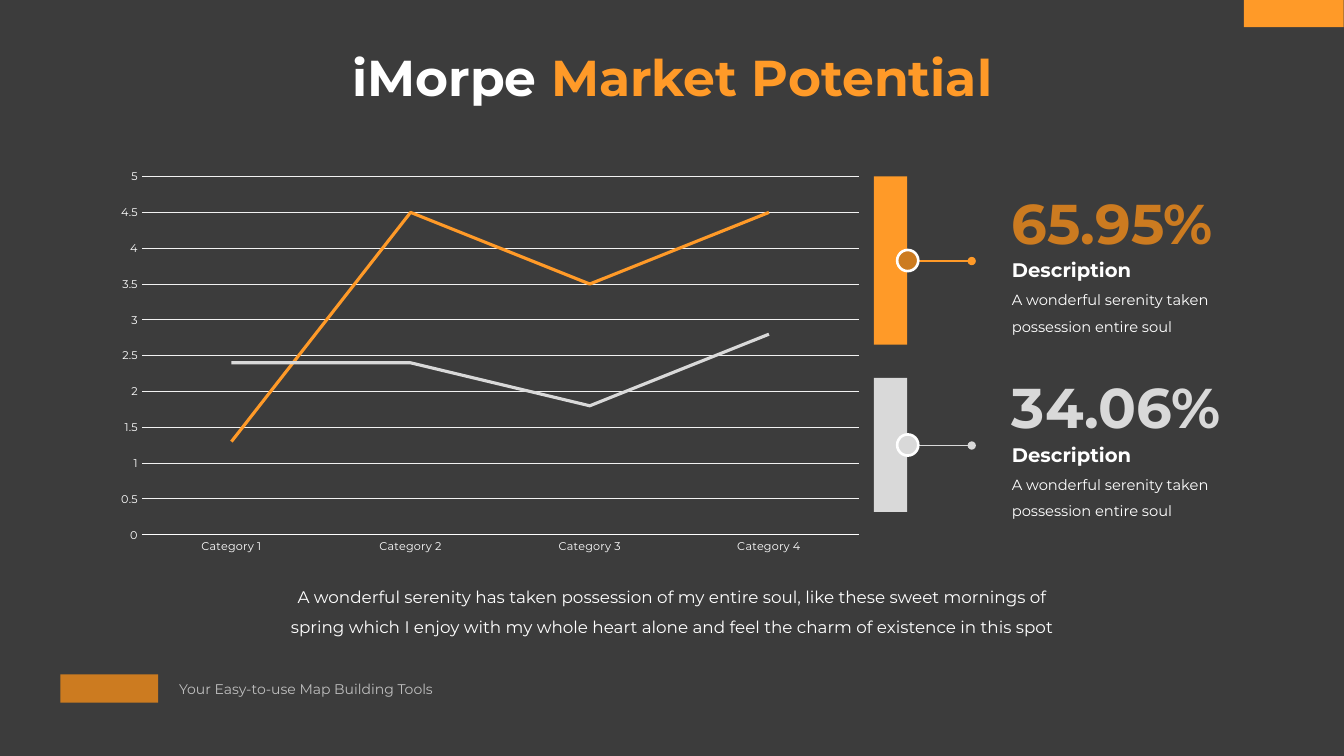
from lxml import etree
from pptx import Presentation
from pptx import util as u
from pptx.chart import data
from pptx.dml.color import RGBColor
from pptx.enum import chart as ch, shapes, text
from pptx.oxml.ns import qn

PX = 9144  # 100 px to the inch
FONT = "Montserrat"
ORANGE, DARK_ORANGE, GREY, WHITE = "FF9A28", "CC7B20", "D9D9D9", "FFFFFF"
rgb = RGBColor.from_string


def add_text(x, y, w, h, spans, size, bold=False, spacing=None, centred=False, middle=False):
    box = page.shapes.add_textbox(x * PX, y * PX, w * PX, h * PX)
    frame = box.text_frame
    frame.word_wrap = True
    if middle:
        frame.vertical_anchor = text.MSO_ANCHOR.MIDDLE
    para = frame.paragraphs[0]
    para.line_spacing = spacing
    para.alignment = text.PP_ALIGN.CENTER if centred else text.PP_ALIGN.LEFT
    for words, color in spans:
        span = para.add_run()
        span.text = words
        span.font.name = FONT
        span.font.size = u.Pt(size)
        span.font.bold = bold
        span.font.color.rgb = rgb(color)


def add_block(kind, x, y, w, h, fill, outline=None):
    block = page.shapes.add_shape(kind, x * PX, y * PX, w * PX, h * PX)
    block.shadow.inherit = False
    block.fill.solid()
    block.fill.fore_color.rgb = rgb(fill)
    if outline:
        block.line.color.rgb = rgb(outline)
        block.line.width = u.Pt(1.88)
    else:
        block.line.fill.background()


deck = Presentation()
deck.slide_width, deck.slide_height = u.Inches(13.333), u.Inches(7.5)
page = deck.slides.add_slide(deck.slide_layouts[6])
page.background.fill.solid()
page.background.fill.fore_color.rgb = rgb("3C3C3C")
RECT, OVAL = shapes.MSO_SHAPE.RECTANGLE, shapes.MSO_SHAPE.OVAL

# Footer with a plain brand marker, and the corner tab
add_block(RECT, 60, 669, 97, 28, DARK_ORANGE)
add_text(168, 670, 344, 27, [("Your Easy-to-use Map Building Tools", "BFBFBF")], 10)
add_block(RECT, 1234, 0, 99, 27, ORANGE)

# Title and summary
add_text(92, 44, 1150, 71, [("iMorpe ", WHITE), ("Market Potential", ORANGE)], 36,
         bold=True, spacing=0.9, centred=True, middle=True)
add_text(257, 567, 820, 67,
         [("A wonderful serenity has taken possession of my entire soul, like these sweet "
           "mornings of spring which I enjoy with my whole heart alone and feel the charm "
           "of existence in this spot", WHITE)], 12, spacing=1.5, centred=True)

# Line chart
numbers = data.CategoryChartData()
numbers.categories = [f"Category {n}" for n in range(1, 5)]
numbers.add_series("Series 1", (1.3, 4.5, 3.5, 4.5))
numbers.add_series("Series 2", (2.4, 2.4, 1.8, 2.8))
chart = page.shapes.add_chart(ch.XL_CHART_TYPE.LINE, 105 * PX, 160 * PX,
                              762 * PX, 397 * PX, numbers).chart
chart.has_title = False
chart.has_legend = False
chart.font.name = FONT
chart.font.size = u.Pt(8)
chart.font.color.rgb = rgb(WHITE)
for series, color in zip(chart.plots[0].series, (ORANGE, GREY)):
    series.smooth = False
    series.marker.style = ch.XL_MARKER_STYLE.NONE
    series.format.line.color.rgb = rgb(color)
    series.format.line.width = u.Pt(2.25)
levels, categories = chart.value_axis, chart.category_axis
for axis in (levels, categories):
    axis.major_tick_mark = axis.minor_tick_mark = ch.XL_TICK_MARK.NONE
categories.format.line.color.rgb = rgb(WHITE)
categories.format.line.width = u.Pt(0.75)
levels.minimum_scale, levels.maximum_scale, levels.major_unit = 0, 5, 0.5
levels.format.line.fill.background()
levels.major_gridlines.format.line.color.rgb = rgb("F2F2F2")
levels.major_gridlines.format.line.width = u.Pt(0.75)

# Callouts: bar, pointer, knob and words
callouts = [
    ("65.95%", 175, 167, 259, ORANGE, DARK_ORANGE),
    ("34.06%", 375, 133, 442, GREY, GREY),
]
for share, top, height, middle, color, accent in callouts:
    add_block(RECT, 867, top, 33, height, color)
    pointer = page.shapes.add_connector(shapes.MSO_CONNECTOR.STRAIGHT, 906 * PX, middle * PX,
                                        964 * PX, middle * PX)
    pointer.line.color.rgb = rgb(color)
    pointer.line.width = u.Pt(1)
    etree.SubElement(pointer.line._get_or_add_ln(), qn("a:tailEnd"), type="oval")
    etree.SubElement(pointer._element.spPr, qn("a:effectLst"))
    add_block(OVAL, 890, middle - 11, 21, 21, accent, WHITE)
    add_text(994, middle - 77, 229, 77, [(share, accent)], 40, bold=True)
    add_text(994, middle - 8, 159, 34, [("Description", WHITE)], 14, bold=True, middle=True)
    add_text(994, middle + 16, 218, 60,
             [("A wonderful serenity taken possession entire soul", WHITE)], 10.5, spacing=1.5)

deck.save("out.pptx")
